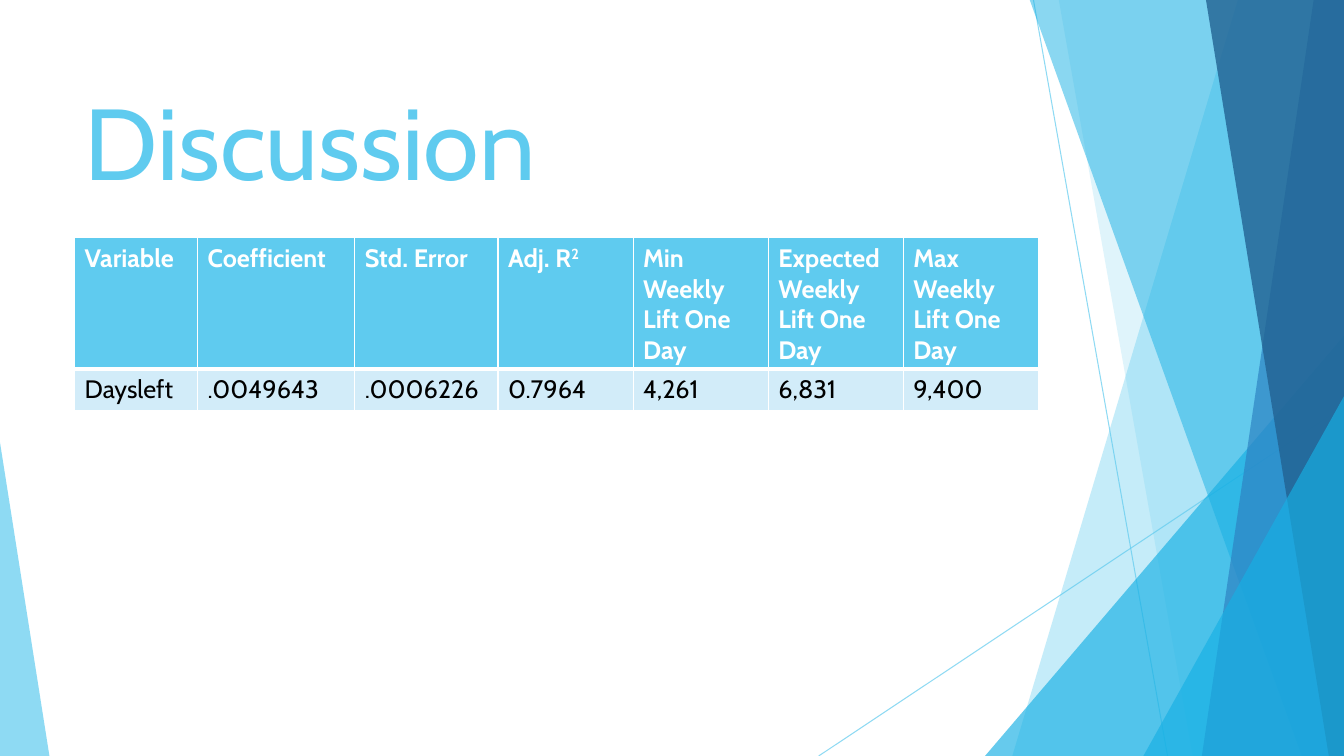
from lxml.etree import SubElement
from pptx import Presentation
from pptx.dml.color import RGBColor
from pptx.enum.shapes import MSO_CONNECTOR, MSO_SHAPE
from pptx.enum.text import MSO_ANCHOR
from pptx.oxml.ns import qn
from pptx.util import Inches, Pt


class Theme:
    font = "Cabin"
    sky, cyan, blue, navy = "5FCBEF", "17B0E4", "2E83C3", "226292"
    pale, white, black = "D2ECF9", "FFFFFF", "000000"
    title, body = 72, 18
    hair, rule, thick = 0.75, 1, 3


WIDE, HIGH = 13.33, 7.5
TOP = -0.01


class Deck:
    def __init__(self, theme):
        self.theme = theme
        self.file = Presentation()
        self.file.slide_width = Inches(WIDE)
        self.file.slide_height = Inches(HIGH)
        self.slide = self.file.slides.add_slide(self.file.slide_layouts[6])
        self.shapes = self.slide.shapes

    def tint(self, fill, color, alpha):
        """Set a solid colour with an opacity in percent."""
        fill.solid()
        fill.fore_color.rgb = RGBColor.from_string(color)
        tone = fill._xPr.find(qn("a:solidFill"))[0]
        SubElement(tone, qn("a:alpha"), val=str(alpha * 1000))

    def paint(self, shape, color, alpha):
        shape.shadow.inherit = False
        shape.line.fill.background()
        self.tint(shape.fill, color, alpha)

    def line(self, start, end):
        ends = [Inches(n) for n in (*start, *end)]
        line = self.shapes.add_connector(MSO_CONNECTOR.STRAIGHT, *ends)
        line.line.width = Pt(self.theme.hair)
        self.tint(line.line.fill, self.theme.sky, 70)
        SubElement(line._element.spPr, qn("a:effectLst"))

    def band(self, upper, lower, color, alpha):
        """Fill from a slanted left edge to the right side of the slide."""
        form = self.shapes.build_freeform(Inches(upper), Inches(TOP))
        rest = [(WIDE, TOP), (WIDE, HIGH), (lower, HIGH)]
        form.add_line_segments([(Inches(x), Inches(y)) for x, y in rest])
        self.paint(form.convert_to_shape(), color, alpha)

    def wedge(self, left, top, width, tip, color, alpha):
        """Stand a triangle on the bottom edge."""
        box = [Inches(n) for n in (left, top, width, HIGH - top)]
        shape = self.shapes.add_shape(MSO_SHAPE.ISOSCELES_TRIANGLE, *box)
        shape.adjustments[0] = tip
        self.paint(shape, color, alpha)

    def text(self, para, words, size, color, bold=False, base=0):
        run = para.add_run()
        run.text = words
        run.font.name = self.theme.font
        run.font.size = Pt(size)
        run.font.bold = bold
        run.font.color.rgb = RGBColor.from_string(color)
        if base:
            run._r.get_or_add_rPr().set("baseline", str(base * 1000))

    def title(self, words, box):
        frame = self.shapes.add_textbox(*[Inches(n) for n in box]).text_frame
        frame.word_wrap = True
        frame.vertical_anchor = MSO_ANCHOR.MIDDLE
        self.text(frame.paragraphs[0], words, self.theme.title, self.theme.sky)

    def edge(self, cell, side, width):
        props = cell._tc.get_or_add_tcPr()
        line = SubElement(props, qn("a:ln" + side), w=str(Pt(width)))
        fill = SubElement(line, qn("a:solidFill"))
        SubElement(fill, qn("a:srgbClr"), val=self.theme.white)

    def cell(self, cell, runs, head):
        look = self.theme
        bar = "B" if head else "T"
        for side in "LRTB":
            self.edge(cell, side, look.thick if side == bar else look.rule)
        cell.fill.solid()
        cell.fill.fore_color.rgb = RGBColor.from_string(
            look.sky if head else look.pale)
        ink = look.white if head else look.black
        for words, base in runs:
            self.text(cell.text_frame.paragraphs[0], words, look.body,
                      ink, head, base)

    def table(self, left, top, cols, rows, data):
        box = [Inches(n) for n in (left, top, sum(cols), sum(rows))]
        table = self.shapes.add_table(len(rows), len(cols), *box).table
        table.horz_banding = False
        for col, width in zip(table.columns, cols):
            col.width = Inches(width)
        for row, height in zip(table.rows, rows):
            row.height = Inches(height)
        for r, items in enumerate(data):
            for c, item in enumerate(items):
                runs = [(item, 0)] if isinstance(item, str) else item
                self.cell(table.cell(r, c), runs, r == 0)


def main():
    look = Theme()
    deck = Deck(look)

    # Facets along the right side, from back to front
    deck.line((10.25, 0), (11.58, HIGH))
    deck.line((WIDE, 4.03), (8.12, HIGH))
    deck.band(12.28, 10.04, look.sky, 36)
    deck.band(10.5, 11.83, look.sky, 20)
    deck.wedge(9.77, 3.33, 3.56, 1, look.cyan, 66)
    deck.band(10.21, 12.91, look.cyan, 50)
    deck.band(13.03, 11.92, look.blue, 70)
    deck.band(11.96, 13.18, look.navy, 80)
    deck.wedge(11.34, 3.93, 1.99, 1, look.cyan, 66)

    # Facet in the lower left corner
    deck.wedge(0, 4.39, 0.49, 0, look.sky, 70)

    # Title
    deck.title("Discussion", (0.74, 0.67, 9.4, 1.44))

    # Table of results
    lifts = [f"{kind} Weekly Lift One Day"
             for kind in ("Min", "Expected", "Max")]
    heads = ["Variable", "Coefficient", "Std. Error",
             [("Adj. R", 0), ("2", 30)], *lifts]
    facts = ["Daysleft", ".0049643", ".0006226", "0.7964",
             "4,261", "6,831", "9,400"]
    cols = [1.22, 1.56, 1.42] + [1.34] * 4
    deck.table(0.74, 2.36, cols, [1.3, 0.41], [heads, facts])

    deck.file.save("out.pptx")


if __name__ == "__main__":
    main()
